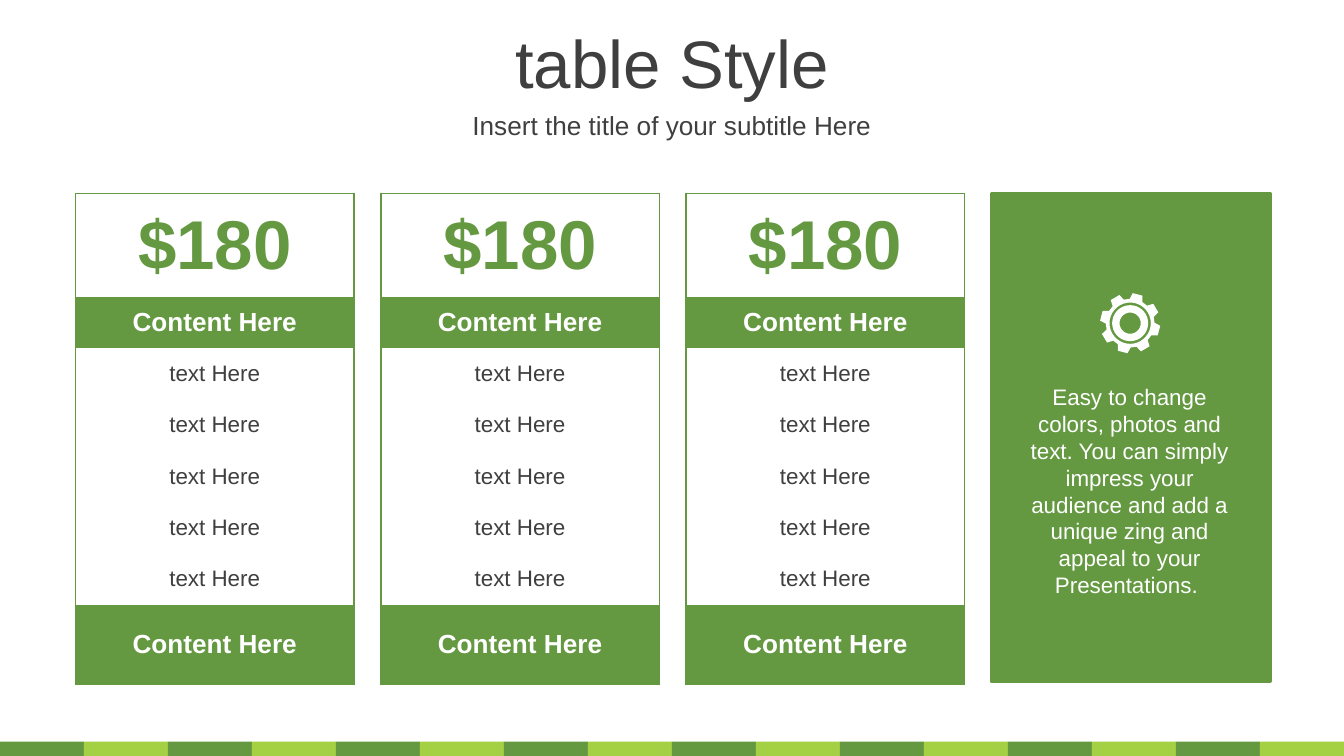
from math import cos, radians, sin

from lxml import etree
from pptx import Presentation
from pptx.dml.color import RGBColor
from pptx.enum.shapes import MSO_SHAPE
from pptx.enum.text import MSO_ANCHOR, PP_ALIGN
from pptx.oxml.ns import qn
from pptx.util import Cm, Pt

RECTANGLE = MSO_SHAPE.RECTANGLE
MIDDLE = MSO_ANCHOR.MIDDLE
CENTER = PP_ALIGN.CENTER

GREEN, LIME, WHITE, GRAY = "649941", "A4D144", "FFFFFF", "3F3F3F"
FONT = "Arial"

TITLE = "table Style"
SUBTITLE = "Insert the title of your subtitle Here"
PANEL_TEXT = (
    "Easy to change colors, photos and text. You can simply impress your "
    "audience and add a unique zing and appeal to your Presentations. "
)
PRICES = ["$180", "$180", "$180"]
FEATURES = ["text Here"] * 5
HEADING = FOOTER = "Content Here"

SLIDE_WIDTH, SLIDE_HEIGHT = 25.4, 14.29
STRIPE_COUNT, STRIPE_HEIGHT = 16, 0.27
CARD_LEFT, CARD_TOP, CARD_STEP = 1.43, 3.66, 5.77
COLUMN_WIDTHS = [0.61, 4.04, 0.61]
PRICE_HEIGHT, ROW_HEIGHT, FOOTER_HEIGHT = 1.95, 0.97, 1.51
PANEL_HEIGHT = 9.22

GEAR_CENTER = (21.36, 6.11)
GEAR_TEETH = 8
GEAR_START = -85
TOOTH = [(0, 0.57), (19, 0.57), (25, 0.46), (39, 0.46)]
GEAR_RINGS = [0.39, 0.34, 0.2]


def rgb(color):
    return RGBColor.from_string(color)


def paint(target, color):
    target.fill.solid()
    target.fill.fore_color.rgb = rgb(color)


def write(frame, text, size, color, bold=False):
    frame.text = text
    frame.word_wrap = True
    paragraph = frame.paragraphs[0]
    paragraph.alignment = CENTER
    font = paragraph.runs[0].font
    font.name, font.size, font.bold = FONT, Pt(size), bold
    font.color.rgb = rgb(color)


def add_rectangle(slide, box, color):
    rectangle = slide.shapes.add_shape(RECTANGLE, *map(Cm, box))
    rectangle.shadow.inherit = False
    paint(rectangle, color)
    rectangle.line.fill.background()
    return rectangle


def add_label(slide, box, text, size, color):
    label = slide.shapes.add_textbox(*map(Cm, box))
    label.text_frame.vertical_anchor = MIDDLE
    write(label.text_frame, text, size, color)


def set_borders(cell, outer_sides):
    properties = cell._tc.get_or_add_tcPr()
    for side in "LRTB":
        border = etree.SubElement(properties, qn(f"a:ln{side}"), w=str(Pt(1)))
        if side in outer_sides:
            fill = etree.SubElement(border, qn("a:solidFill"))
            etree.SubElement(fill, qn("a:srgbClr"), val=GREEN)
        else:
            etree.SubElement(border, qn("a:noFill"))


def add_price_card(slide, left, price):
    rows = [
        (price, PRICE_HEIGHT, 37, GREEN, WHITE, True),
        (HEADING, ROW_HEIGHT, 14, WHITE, GREEN, True),
        *[(feature, ROW_HEIGHT, 12, GRAY, WHITE, False) for feature in FEATURES],
        (FOOTER, FOOTER_HEIGHT, 14, WHITE, GREEN, True),
    ]
    last_row, last_column = len(rows) - 1, len(COLUMN_WIDTHS) - 1
    card_height = sum(row[1] for row in rows)
    card = slide.shapes.add_table(
        len(rows), len(COLUMN_WIDTHS), Cm(left), Cm(CARD_TOP),
        Cm(sum(COLUMN_WIDTHS)), Cm(card_height),
    ).table
    card.first_row = card.horz_banding = False
    for column, width in zip(card.columns, COLUMN_WIDTHS):
        column.width = Cm(width)
    card.cell(last_row, 0).merge(card.cell(last_row, last_column))
    for r, (text, height, size, color, background, bold) in enumerate(rows):
        card.rows[r].height = Cm(height)
        text_column = 0 if r == last_row else 1
        for c in range(len(COLUMN_WIDTHS)):
            cell = card.cell(r, c)
            sides = "L" * (c == 0) + "R" * (c == last_column or r == last_row)
            sides += "T" * (r == 0) + "B" * (r == last_row)
            set_borders(cell, sides)
            paint(cell, background)
            cell.vertical_anchor = MIDDLE
            if c == text_column:
                write(cell.text_frame, text, size, color, bold)
            else:
                cell.margin_top = cell.margin_bottom = 0


def polar(angle, radius):
    x, y = GEAR_CENTER
    turn = radians(angle)
    return Cm(x + radius * cos(turn)), Cm(y + radius * sin(turn))


def add_gear(slide):
    pitch = 360 / GEAR_TEETH
    outline = [
        polar(GEAR_START + tooth * pitch + offset, radius)
        for tooth in range(GEAR_TEETH)
        for offset, radius in TOOTH
    ]
    builder = slide.shapes.build_freeform(*outline[0])
    builder.add_line_segments(outline[1:])
    for radius in GEAR_RINGS:
        ring = [polar(angle, radius) for angle in range(0, 360, 10)]
        builder.move_to(*ring[0])
        builder.add_line_segments(ring[1:])
    gear = builder.convert_to_shape()
    gear.shadow.inherit = False
    paint(gear, WHITE)
    gear.line.fill.background()


def main():
    presentation = Presentation()
    presentation.slide_width = Cm(SLIDE_WIDTH)
    presentation.slide_height = Cm(SLIDE_HEIGHT)
    slide = presentation.slides.add_slide(presentation.slide_layouts[5])

    stripe_width = SLIDE_WIDTH / STRIPE_COUNT
    stripe_top = SLIDE_HEIGHT - STRIPE_HEIGHT
    for i in range(STRIPE_COUNT):
        stripe = (i * stripe_width, stripe_top, stripe_width, STRIPE_HEIGHT)
        add_rectangle(slide, stripe, (GREEN, LIME)[i % 2])

    title = slide.shapes.title
    title.left, title.top = Cm(0), Cm(0.36)
    title.width, title.height = Cm(SLIDE_WIDTH), Cm(1.6)
    title.text_frame.vertical_anchor = MIDDLE
    write(title.text_frame, TITLE, 36, GRAY)
    add_label(slide, (0, 1.96, SLIDE_WIDTH, 0.79), SUBTITLE, 14, GRAY)

    for i, price in enumerate(PRICES):
        add_price_card(slide, CARD_LEFT + i * CARD_STEP, price)

    panel_left = CARD_LEFT + len(PRICES) * CARD_STEP
    panel_box = (panel_left, CARD_TOP, sum(COLUMN_WIDTHS), PANEL_HEIGHT)
    panel = add_rectangle(slide, panel_box, GREEN)
    panel.line.color.rgb = rgb(GREEN)
    panel.line.width = Pt(2)
    add_gear(slide)
    add_label(slide, (19.05, 7.09, 4.6, 4.37), PANEL_TEXT, 12, WHITE)

    presentation.save("out.pptx")


if __name__ == "__main__":
    main()
